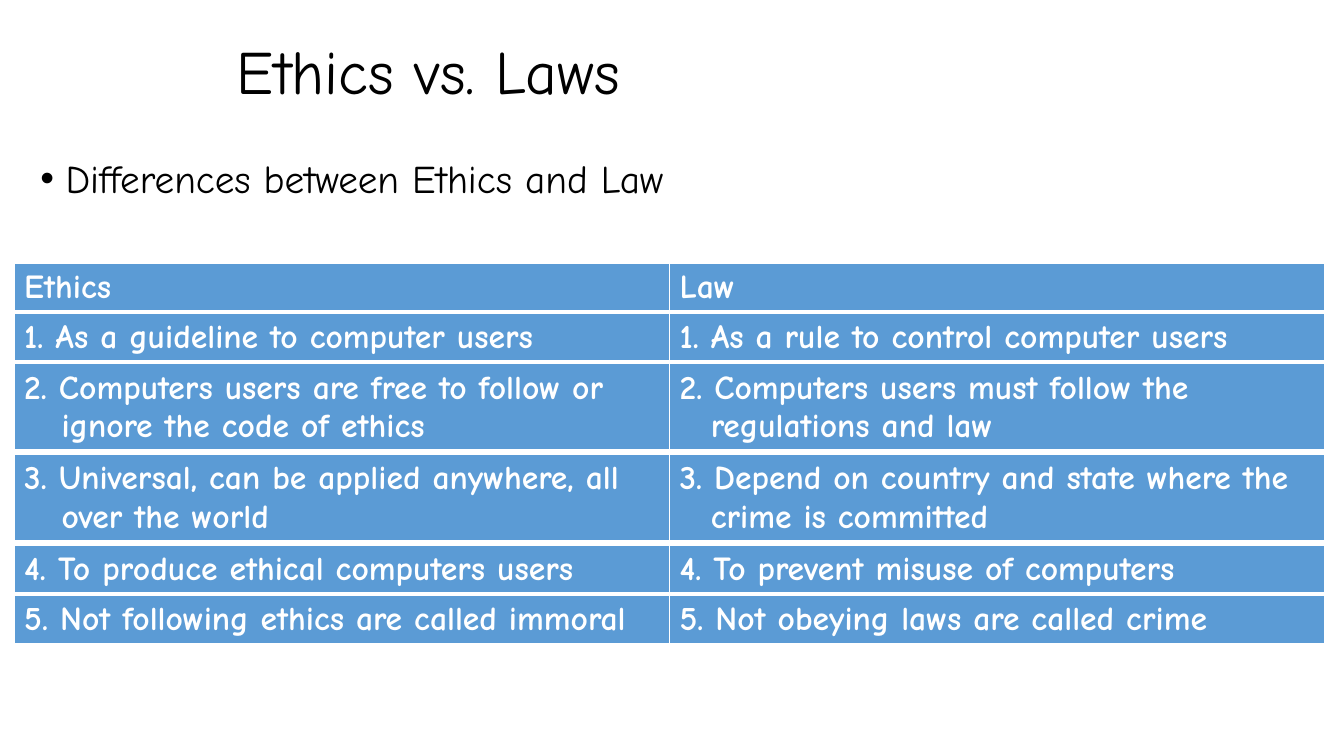
from lxml.etree import SubElement
from pptx import Presentation
from pptx.dml.color import RGBColor
from pptx.enum.text import MSO_ANCHOR, MSO_AUTO_SIZE, PP_ALIGN
from pptx.oxml import parse_xml
from pptx.oxml.ns import nsdecls, qn
from pptx.util import Pt

PX = 9144  # 100 px to the inch
FONT = "Comic Neue"
BLACK, WHITE, BLUE = "000000", "FFFFFF", "5B9BD5"
BORDERS = {"lnL": 1, "lnR": 1, "lnT": 1, "lnB": 3}

# ethics, law, height, hanging indents of the two columns
COMPARISON = [
    ("Ethics", "Law", 50, (0, 0)),
    ("1. As a guideline to computer users",
     "1. As a rule to control computer users", 50, (31, 31)),
    ("2. Computers users are free to follow or ignore the code of ethics",
     "2. Computers users must follow the regulations and law", 90, (37, 31)),
    ("3. Universal, can be applied anywhere, all over the world",
     "3. Depend on country and state where the crime is committed", 90, (37, 31)),
    ("4. To produce ethical computers users",
     "4. To prevent misuse of computers", 50, (31, 31)),
    ("5. Not following ethics are called immoral",
     "5. Not obeying laws are called crime", 50, (31, 31)),
]


def style(paragraph, size, color, bold=False, indent=0):
    """Format a paragraph, with a hanging indent in px."""
    properties = paragraph._p.get_or_add_pPr()
    properties.set("marL", str(indent * PX))
    properties.set("indent", str(-indent * PX))
    paragraph.alignment = PP_ALIGN.LEFT
    paragraph.space_before = Pt(0)
    formats = {"name": FONT, "size": Pt(size), "bold": bold}
    for run in paragraph.runs:
        for attribute, value in formats.items():
            setattr(run.font, attribute, value)
        run.font.color.rgb = RGBColor.from_string(color)


deck = Presentation()
deck.slide_width, deck.slide_height = 1333 * PX, 750 * PX
slide = deck.slides.add_slide(deck.slide_layouts[1])
heading, topic = slide.placeholders

for holder, words, box, size, indent in [
    (heading, "Ethics vs. Laws", (225, 36, 1108, 145), 44, 0),
    (topic, "Differences between Ethics and Law", (30, 153, 1150, 65), 28, 25),
]:
    for side, length in zip(("left", "top", "width", "height"), box):
        setattr(holder, side, length * PX)
    frame = holder.text_frame
    frame.text = words
    frame.word_wrap = True
    frame.auto_size = MSO_AUTO_SIZE.NONE
    frame.vertical_anchor = MSO_ANCHOR.TOP
    line = frame.paragraphs[0]
    if indent:
        SubElement(line._p.get_or_add_pPr(), qn("a:buChar")).set("char", "•")
    style(line, size, BLACK, indent=indent)
    line.line_spacing = 0.9

top = 261
for ethics, law, height, indents in COMPARISON:
    band = slide.shapes.add_table(1, 2, 14 * PX, top * PX, 1300 * PX, height * PX)
    band.table.rows[0].height = 41 * PX
    band.height = height * PX
    for cell, words, indent in zip(band.table.iter_cells(), (ethics, law), indents):
        cell.text = words
        style(cell.text_frame.paragraphs[0], 24, WHITE, True, indent)
        cell.fill.solid()
        cell.fill.fore_color.rgb = RGBColor.from_string(BLUE)
        for place, (edge, points) in enumerate(BORDERS.items()):
            cell._tc.get_or_add_tcPr().insert(place, parse_xml(
                f'<a:{edge} {nsdecls("a")} w="{Pt(points)}"><a:solidFill>'
                f'<a:srgbClr val="{WHITE}"/></a:solidFill></a:{edge}>'))
    top += height

deck.save("out.pptx")
